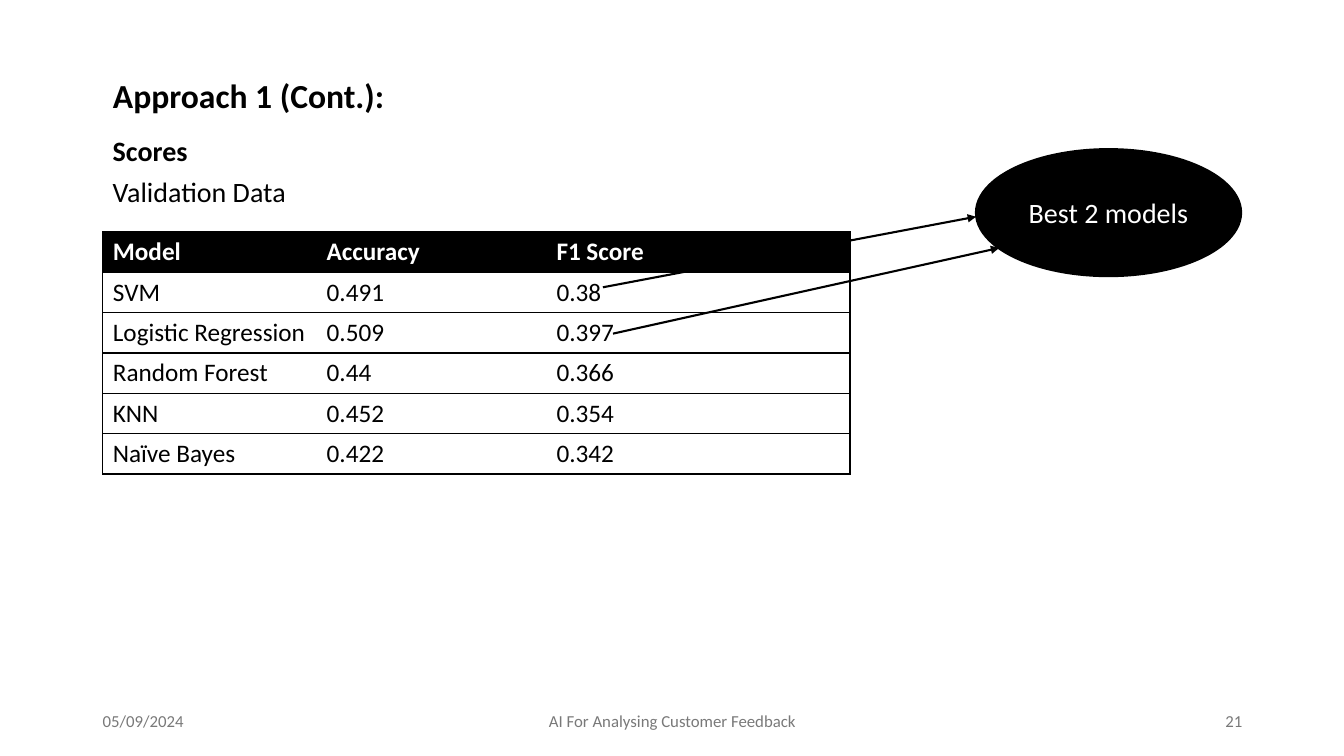
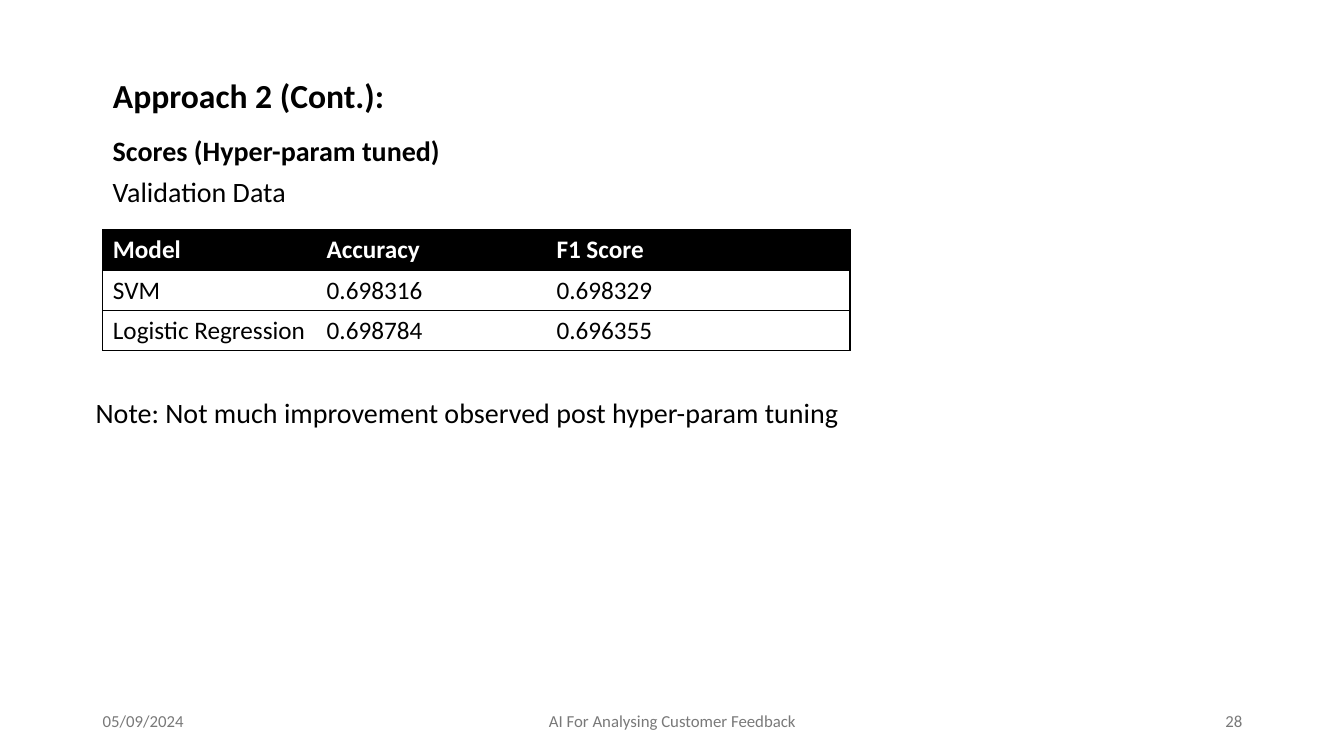
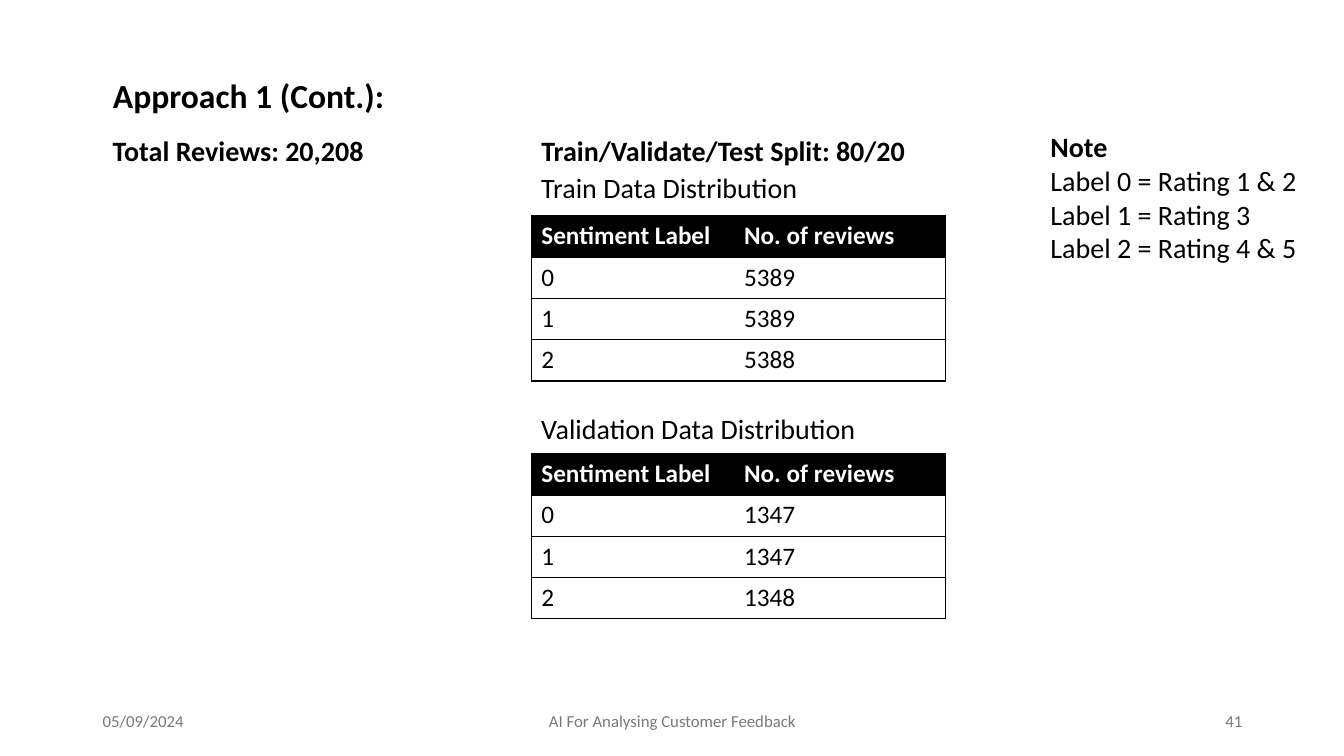
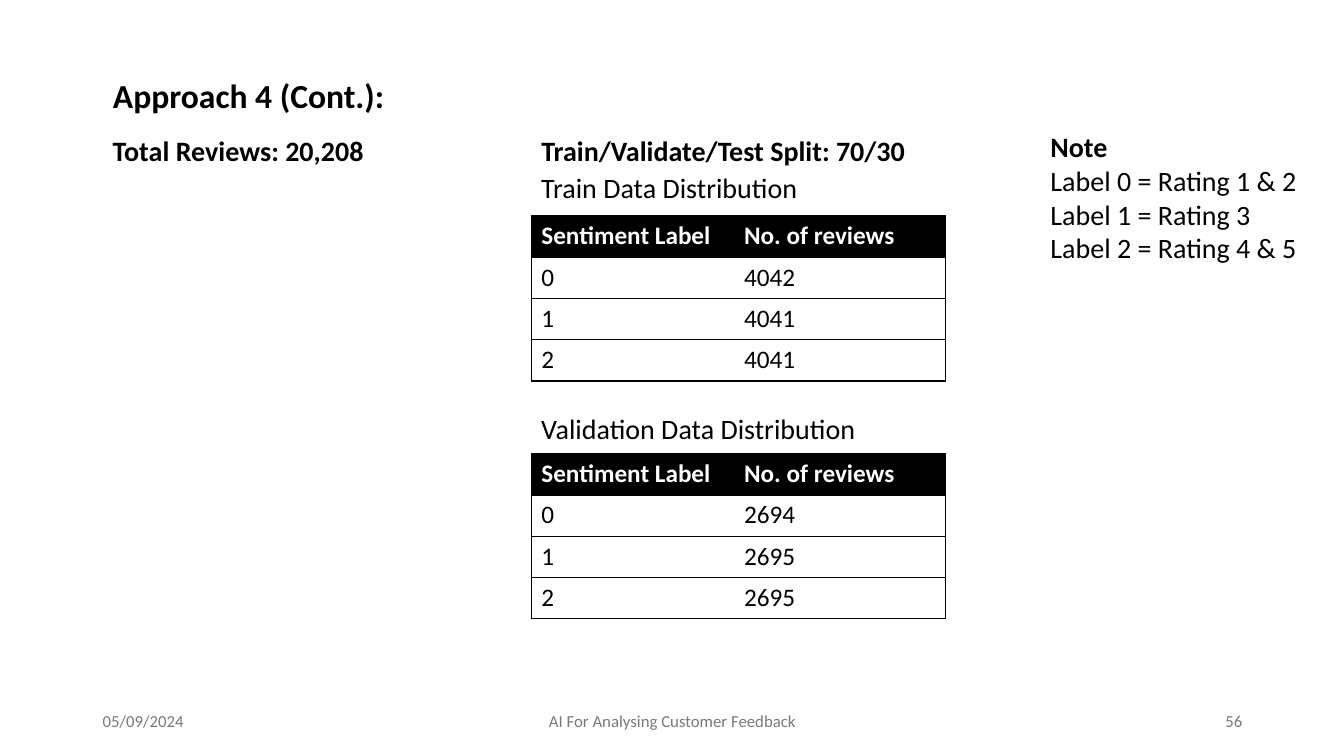
from lxml.etree import SubElement
from pptx import Presentation
from pptx.dml.color import RGBColor
from pptx.enum.shapes import MSO_CONNECTOR, MSO_SHAPE
from pptx.enum.text import MSO_ANCHOR, MSO_AUTO_SIZE, PP_ALIGN
from pptx.oxml.ns import qn
from pptx.util import Inches, Pt

BLACK, WHITE, GREY = "000000", "FFFFFF", "797979"
FONT = "Calibri"
LEFT = 1.02          # left edge of titles and score tables
SPLIT_LEFT = 5.27    # left edge of the data split column
SPLIT_WIDTH = 4.11
LABEL_WIDTH, LABEL_HEIGHT = 3.66, 0.44
SCORE_COLUMNS = (2.12, 2.28, 3.01)
SCORE_HEADER = ("Model", "Accuracy", "F1 Score")
SPLIT_COLUMNS = (2.01, 2.1)
SPLIT_HEADER = ("Sentiment Label", "No. of reviews")


def colour(value):
    return RGBColor.from_string(value)


def style(para, size, shade=BLACK, bold=False, align=PP_ALIGN.LEFT):
    para.alignment = align
    font = para.font
    font.name, font.size, font.bold = FONT, Pt(size), bold
    font.color.rgb = colour(shade)


def place(shape, left, top, width, height):
    shape.left, shape.top = Inches(left), Inches(top)
    shape.width, shape.height = Inches(width), Inches(height)


def add_text(page, box, lines, size=20, shade=BLACK, bold_lines=0,
             align=PP_ALIGN.LEFT, anchor=MSO_ANCHOR.TOP):
    """Text box whose first bold_lines paragraphs are bold."""
    frame = page.shapes.add_textbox(*map(Inches, box)).text_frame
    frame.word_wrap = True
    frame.vertical_anchor = anchor
    frame.text = "\n".join(lines)
    for index, para in enumerate(frame.paragraphs):
        style(para, size, shade, index < bold_lines, align)


def add_label(page, left, top, text, bold=False, width=LABEL_WIDTH):
    add_text(page, (left, top, width, LABEL_HEIGHT), [text], bold_lines=int(bold))


def set_borders(cell, first, last):
    """Rules above and below each row, and at the table's outer sides only."""
    properties = cell._tc.get_or_add_tcPr()
    for tag, shown in (("lnL", first), ("lnR", last), ("lnT", True), ("lnB", True)):
        line = SubElement(properties, qn(f"a:{tag}"), w=str(Pt(1)))
        if shown:
            fill = SubElement(line, qn("a:solidFill"))
            SubElement(fill, qn("a:srgbClr"), val=BLACK)
        else:
            SubElement(line, qn("a:noFill"))


def add_data_table(page, left, top, widths, row_height, rows):
    height = row_height * len(rows)
    table = page.shapes.add_table(
        len(rows), len(widths), Inches(left), Inches(top),
        Inches(sum(widths)), Inches(height)).table
    table.horz_banding = False
    for column, width in zip(table.columns, widths):
        column.width = Inches(width)
    for row_index, values in enumerate(rows):
        table.rows[row_index].height = Inches(row_height)
        header = row_index == 0
        for column_index, value in enumerate(values):
            cell = table.cell(row_index, column_index)
            set_borders(cell, column_index == 0, column_index == len(widths) - 1)
            cell.fill.solid()
            cell.fill.fore_color.rgb = colour(BLACK if header else WHITE)
            cell.text = value
            style(cell.text_frame.paragraphs[0], 18, WHITE if header else BLACK, header)


def add_arrow(page, start, end):
    arrow = page.shapes.add_connector(
        MSO_CONNECTOR.STRAIGHT, *map(Inches, start + end))
    arrow.line.color.rgb = colour(BLACK)
    arrow.line.width = Pt(1.5)
    SubElement(arrow.line._get_or_add_ln(), qn("a:tailEnd"), type="triangle")
    SubElement(arrow._element.spPr, qn("a:effectLst"))


def add_callout(page, box, text, starts_and_ends):
    """Black ellipse with arrows that lead to it."""
    ellipse = page.shapes.add_shape(MSO_SHAPE.OVAL, *map(Inches, box))
    ellipse.shadow.inherit = False
    ellipse.fill.solid()
    ellipse.fill.fore_color.rgb = colour(BLACK)
    ellipse.line.color.rgb = colour(BLACK)
    ellipse.line.width = Pt(1.5)
    frame = ellipse.text_frame
    frame.text = text
    frame.vertical_anchor = MSO_ANCHOR.MIDDLE
    style(frame.paragraphs[0], 20, WHITE, align=PP_ALIGN.CENTER)
    for start, end in starts_and_ends:
        add_arrow(page, start, end)


def add_footer(page, number):
    for left, width, text, align in (
            (0.92, 3, "05/09/2024", PP_ALIGN.LEFT),
            (4.42, 4.5, "AI For Analysing Customer Feedback", PP_ALIGN.CENTER),
            (9.42, 3, number, PP_ALIGN.RIGHT)):
        add_text(page, (left, 6.95, width, 0.4), [text], 12, GREY,
                 align=align, anchor=MSO_ANCHOR.MIDDLE)


def add_page(deck, approach, number):
    page = deck.slides.add_slide(deck.slide_layouts[5])
    title = page.shapes.title
    place(title, LEFT, 0.69, LABEL_WIDTH, 0.5)
    frame = title.text_frame
    frame.text = f"Approach {approach} (Cont.):"
    frame.auto_size = MSO_AUTO_SIZE.NONE
    frame.vertical_anchor = MSO_ANCHOR.TOP
    style(frame.paragraphs[0], 24, bold=True)
    add_footer(page, number)
    return page


def add_scores_page(deck, approach, number, heading, table_top, scores):
    page = add_page(deck, approach, number)
    add_label(page, LEFT, 1.28, heading, bold=True)
    add_label(page, LEFT, 1.68, "Validation Data")
    add_data_table(page, LEFT, table_top, SCORE_COLUMNS, 0.4, [SCORE_HEADER, *scores])
    return page


def add_distribution(page, left, top, caption, caption_gap, counts):
    """Caption with a table of review counts per sentiment label."""
    add_label(page, left, top, caption)
    rows = [(str(label), count) for label, count in enumerate(counts)]
    add_data_table(page, left, top + caption_gap, SPLIT_COLUMNS, 0.41,
                   [SPLIT_HEADER, *rows])


def add_split_page(deck, approach, number, split, train, validation):
    page = add_page(deck, approach, number)
    add_label(page, LEFT, 1.28, "Total Reviews: 20,208", bold=True)
    add_label(page, SPLIT_LEFT, 1.28, f"Train/Validate/Test Split: {split}",
              bold=True, width=SPLIT_WIDTH)
    add_distribution(page, SPLIT_LEFT, 1.64, "Train Data Distribution", 0.5, train)
    add_distribution(page, SPLIT_LEFT, 4.03, "Validation Data Distribution", 0.47,
                     validation)
    add_text(page, (10.32, 1.24, 2.71, 1.45),
             ["Note", "Label 0 = Rating 1 & 2", "Label 1 = Rating 3",
              "Label 2 = Rating 4 & 5"], bold_lines=1)


def main():
    deck = Presentation()
    deck.slide_width, deck.slide_height = Inches(13.33), Inches(7.5)

    # Validation scores of all models
    page = add_scores_page(deck, 1, "21", "Scores", 2.3, [
        ("SVM", "0.491", "0.38"),
        ("Logistic Regression", "0.509", "0.397"),
        ("Random Forest", "0.44", "0.366"),
        ("KNN", "0.452", "0.354"),
        ("Naïve Bayes", "0.422", "0.342")])
    add_callout(page, (9.68, 1.48, 2.63, 1.26), "Best 2 models", [
        ((5.98, 2.85), (9.68, 2.15)),
        ((6.08, 3.31), (9.91, 2.46))])

    # Scores after tuning
    page = add_scores_page(deck, 2, "28", "Scores (Hyper-param tuned)", 2.28, [
        ("SVM", "0.698316", "0.698329"),
        ("Logistic Regression", "0.698784", "0.696355")])
    add_label(page, 0.85, 3.87,
              "Note: Not much improvement observed post hyper-param tuning", width=7.95)

    # Data splits
    add_split_page(deck, 1, "41", "80/20",
                   ("5389", "5389", "5388"), ("1347", "1347", "1348"))
    add_split_page(deck, 4, "56", "70/30",
                   ("4042", "4041", "4041"), ("2694", "2695", "2695"))

    deck.save("out.pptx")


if __name__ == "__main__":
    main()
